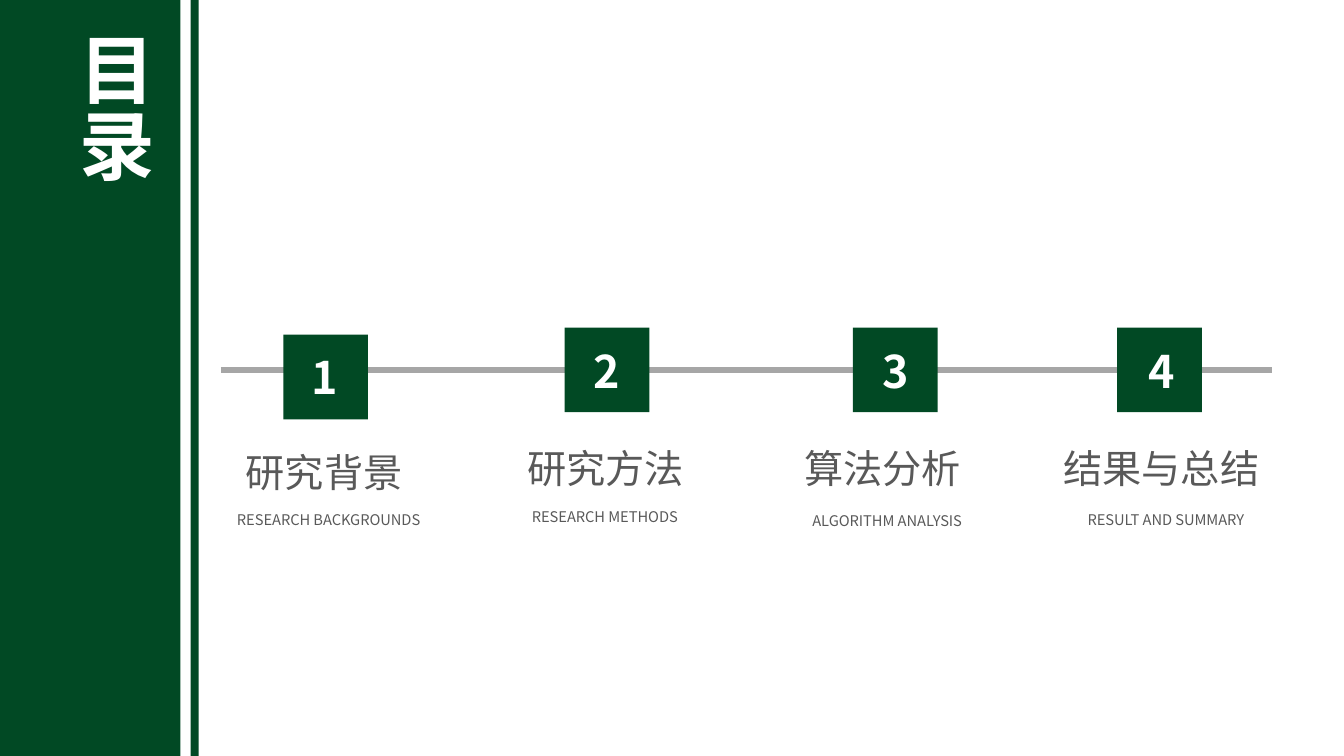
from dataclasses import dataclass

from lxml import etree
from pptx import Presentation
from pptx import util as u
from pptx.dml.color import RGBColor
from pptx.enum import shapes, text
from pptx.oxml import ns


@dataclass(frozen=True)
class Theme:
    green: str = "014924"
    white: str = "FFFFFF"
    grey: str = "595959"
    rule: str = "A6A6A6"
    font: str = "Noto Sans CJK SC"
    title: float = 54
    number: float = 32
    heading: float = 28
    caption: float = 10.5


@dataclass(frozen=True)
class Box:
    """Place and size in grid cells."""
    x: float
    y: float
    w: float
    h: float


@dataclass(frozen=True)
class Section:
    heading: str
    caption: str
    square: tuple[float, float]
    number: Box
    heading_box: Box
    caption_box: Box


THEME = Theme()
CELL = u.Inches(0.1)  # one column or row of the grid
COLS, ROWS = 133.3, 75
SQUARE = 8.4
RULE_Y = 36.7

SECTIONS = [
    Section("研究背景", "RESEARCH BACKGROUNDS", (28.1, 33.2), Box(26.9, 34.2, 10.7, 7.2),
            Box(23.4, 44, 17.7, 5.7), Box(21.9, 50.2, 21.4, 2.8)),
    Section("研究方法", "RESEARCH METHODS", (56, 32.5), Box(54.8, 33.6, 10.7, 6.4),
            Box(51.3, 43.6, 17.7, 5.7), Box(51.3, 49.9, 17.4, 2.8)),
    Section("算法分析", "ALGORITHM ANALYSIS", (84.6, 32.5), Box(83.5, 33.6, 10.7, 6.4),
            Box(78.8, 43.6, 17.7, 5.7), Box(78.8, 50.3, 18.4, 2.8)),
    Section("结果与总结", "RESULT AND SUMMARY", (110.8, 32.5), Box(109.9, 33.6, 10.7, 6.4),
            Box(104.5, 43.6, 21.7, 5.7), Box(106, 50.2, 19.3, 2.8)),
]


def cells(n: float) -> int:
    return round(n * CELL)


def place(box: Box) -> tuple[int, int, int, int]:
    return cells(box.x), cells(box.y), cells(box.w), cells(box.h)


def write(tf, words: str, size: float, color: str, bold: bool = False,
          align=text.PP_ALIGN.CENTER, wrap: bool = True) -> None:
    frame = {"word_wrap": wrap, "auto_size": text.MSO_AUTO_SIZE.NONE,
             "vertical_anchor": text.MSO_ANCHOR.TOP}
    for name, value in frame.items():
        setattr(tf, name, value)
    p = tf.paragraphs[0]
    p.alignment = align
    r = p.add_run()
    r.text = words
    for name, value in {"size": u.Pt(size), "bold": bold, "name": THEME.font}.items():
        setattr(r.font, name, value)
    r.font.color.rgb = RGBColor.from_string(color)
    ea = etree.SubElement(r.font._element, ns.qn("a:ea"))
    ea.set("typeface", THEME.font)


def add_block(parent, box: Box) -> None:
    sp = parent.add_shape(shapes.MSO_SHAPE.RECTANGLE, *place(box))
    sp.shadow.inherit = False
    sp.fill.solid()
    sp.fill.fore_color.rgb = RGBColor.from_string(THEME.green)
    sp.line.fill.background()


def add_rule(s, start: float, end: float) -> None:
    line = s.shapes.add_connector(shapes.MSO_CONNECTOR.STRAIGHT, cells(start), cells(RULE_Y),
                                  cells(end), cells(RULE_Y))
    line.line.width = u.Pt(4)
    line.line.color.rgb = RGBColor.from_string(THEME.rule)
    etree.SubElement(line._element.spPr, ns.qn("a:effectLst"))


def add_section(s, number: int, section: Section) -> None:
    badge = s.shapes.add_group_shape().shapes
    add_block(badge, Box(*section.square, SQUARE, SQUARE))
    tf = badge.add_textbox(*place(section.number)).text_frame
    write(tf, str(number), THEME.number, THEME.white, bold=True)

    tf = s.shapes.add_textbox(*place(section.heading_box)).text_frame
    write(tf, section.heading, THEME.heading, THEME.grey,
          align=text.PP_ALIGN.LEFT, wrap=False)
    tf = s.shapes.add_textbox(*place(section.caption_box)).text_frame
    write(tf, section.caption, THEME.caption, THEME.grey, wrap=False)


def add_title(s, words: str, box: Box) -> None:
    sp = s.shapes.title
    sp.left, sp.top, sp.width, sp.height = place(box)
    write(sp.text_frame, words, THEME.title, THEME.white, bold=True,
          align=text.PP_ALIGN.JUSTIFY)
    sp.text_frame._txBody.bodyPr.set("vert", "eaVert")
    s.shapes._spTree.append(sp._element)  # bring in front of the side band


def main() -> None:
    prs = Presentation()
    prs.slide_width, prs.slide_height = cells(COLS), cells(ROWS)
    s = prs.slides.add_slide(prs.slide_layouts[5])

    # Timeline
    for start, end in [(21.9, 72.7), (72.5, 126.2)]:
        add_rule(s, start, end)
    for number, section in enumerate(SECTIONS, 1):
        add_section(s, number, section)

    # Side band with its strip and title
    for x, width in [(0, 17.9), (18.9, 0.8)]:
        add_block(s.shapes, Box(x, 0, width, ROWS))
    add_title(s, "目录", Box(5.8, 2.7, 11.1, 19.2))

    prs.save("out.pptx")


if __name__ == "__main__":
    main()
